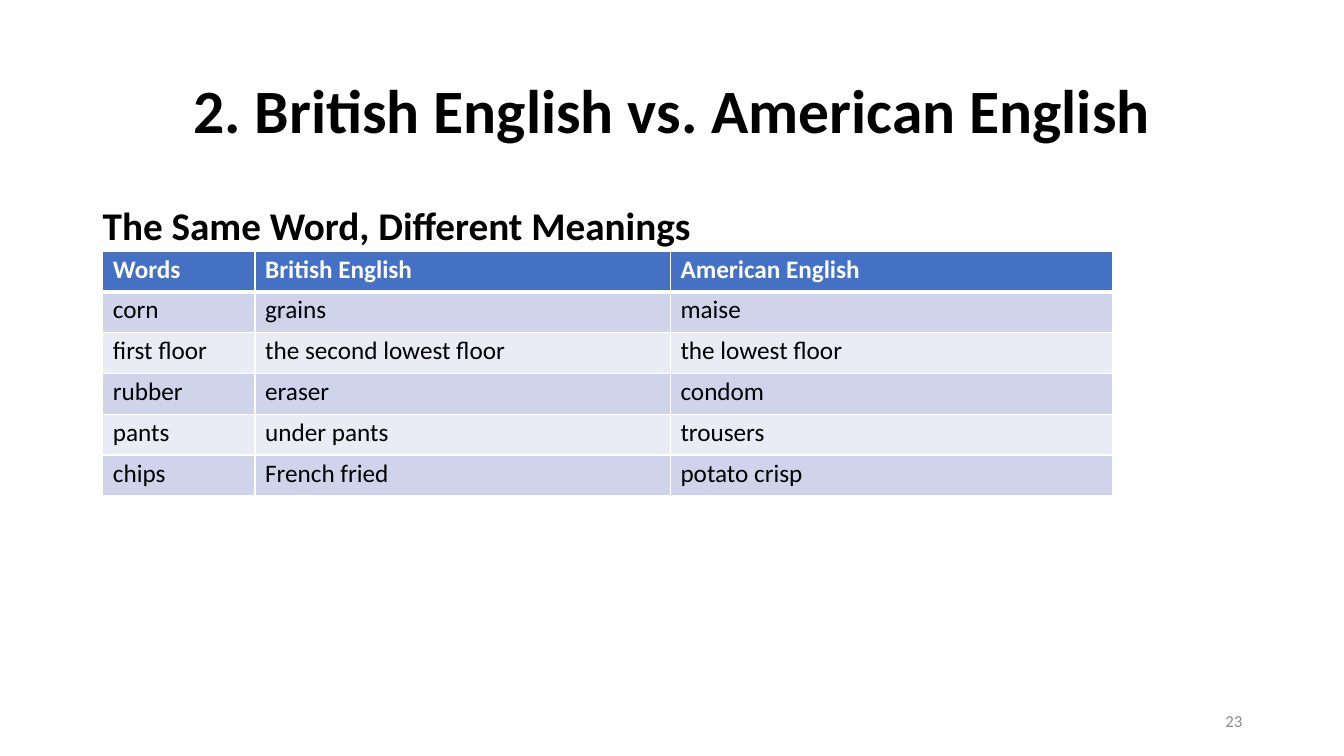
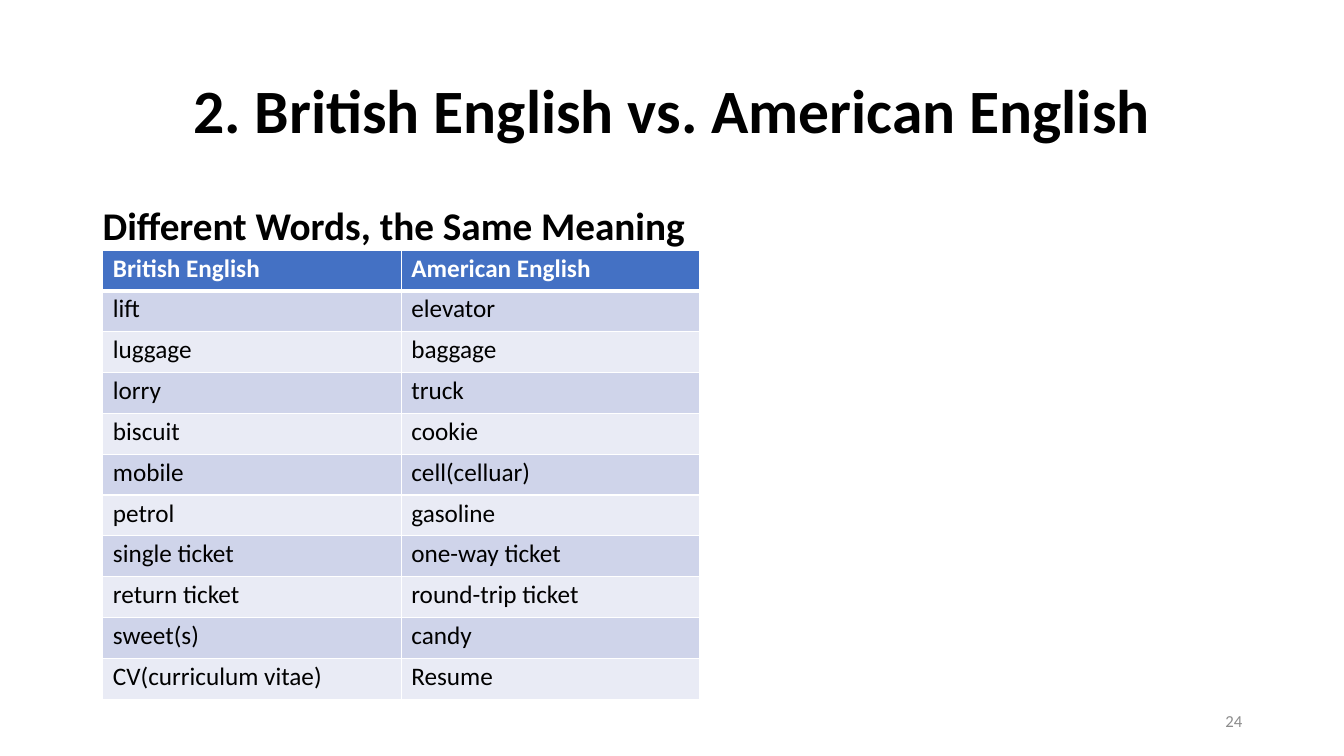
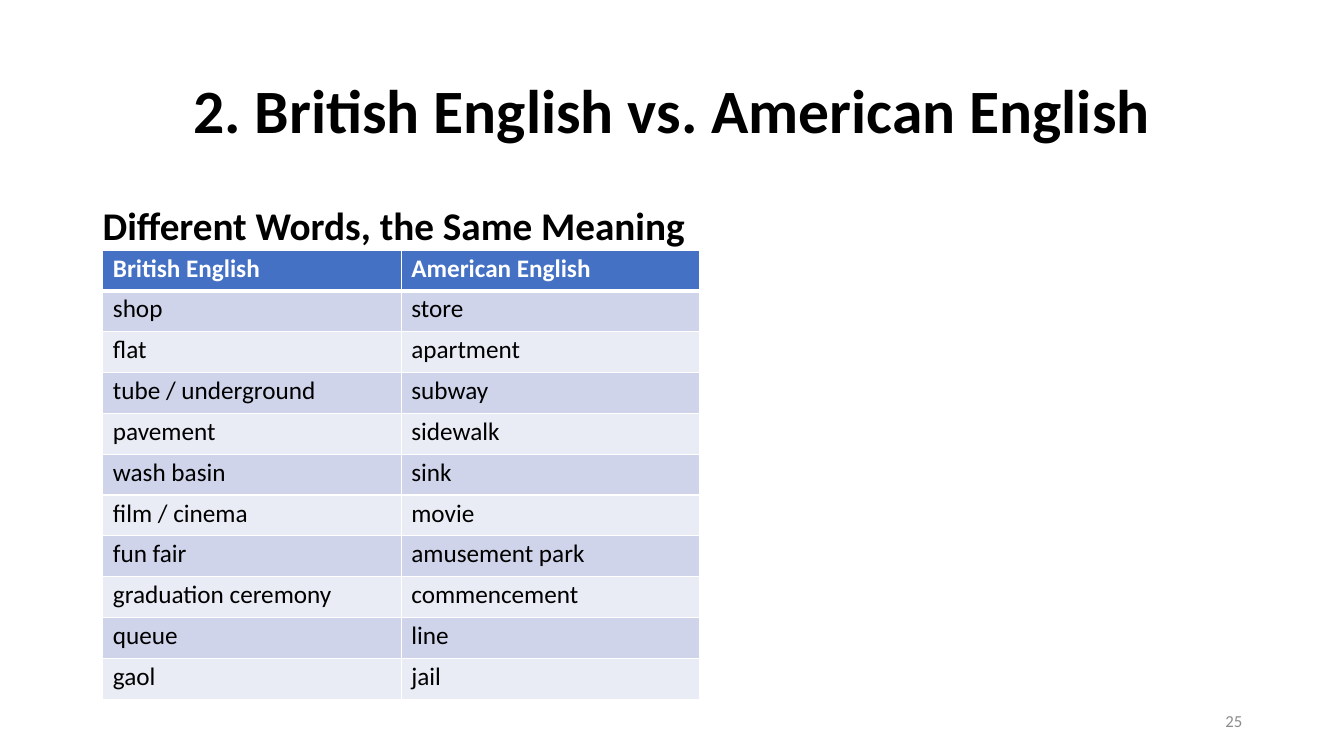
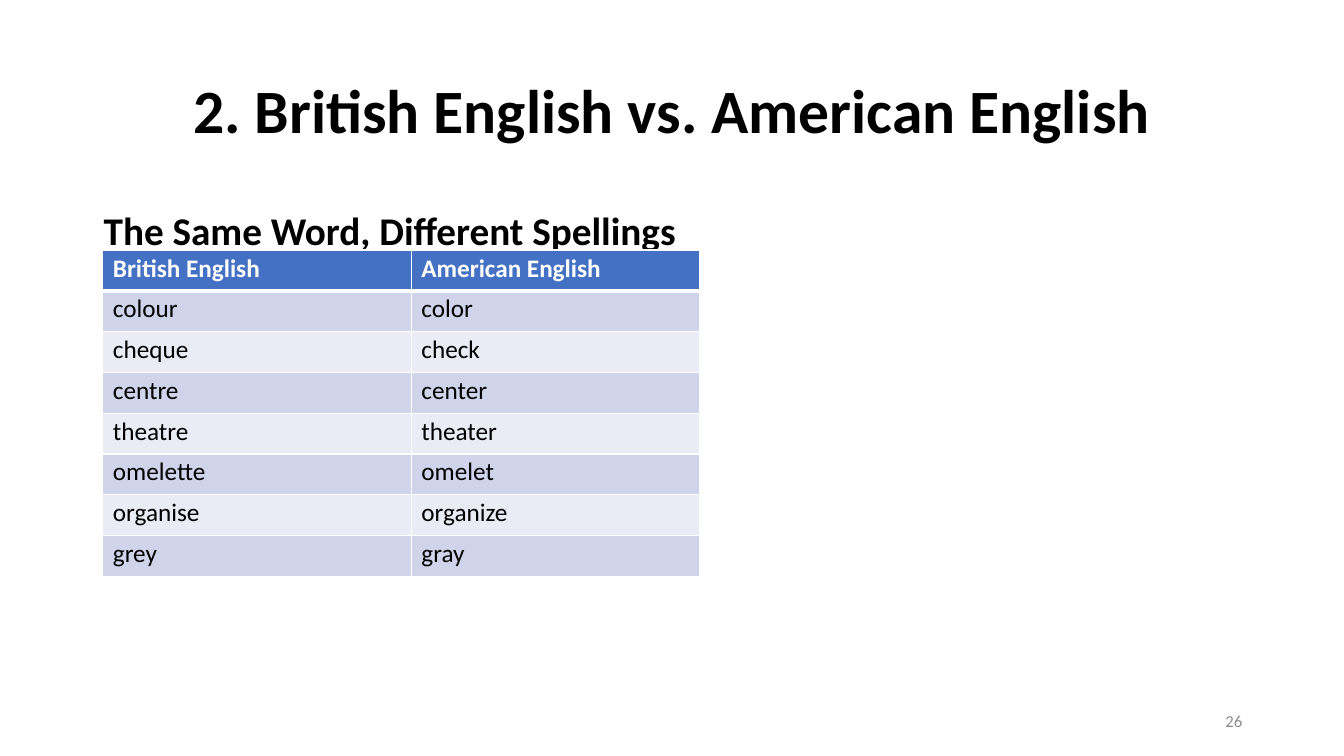
import pptx
import pptx.dml.color
import pptx.enum.text
import pptx.oxml.ns
import pptx.util
from lxml import etree

Inches = pptx.util.Inches
Pt = pptx.util.Pt
RGBColor = pptx.dml.color.RGBColor
PP_ALIGN = pptx.enum.text.PP_ALIGN
MSO_ANCHOR = pptx.enum.text.MSO_ANCHOR
qn = pptx.oxml.ns.qn

# Shared look
FONT = "Calibri"
BLACK = RGBColor(0x00, 0x00, 0x00)
WHITE = RGBColor(0xFF, 0xFF, 0xFF)
GREY = RGBColor(0x8C, 0x8C, 0x8C)
HEADER_BLUE = RGBColor(0x44, 0x71, 0xC4)
BAND_DARK = RGBColor(0xCF, 0xD4, 0xEA)
BAND_LIGHT = RGBColor(0xE9, 0xEB, 0xF5)
TITLE = "2. British English vs. American English"
FIRST_NUMBER = 23


def write(tf, text, size=18, color=BLACK, bold=False, align=PP_ALIGN.LEFT,
          anchor=MSO_ANCHOR.TOP, spacing=1.0):
    tf.word_wrap = True
    tf.vertical_anchor = anchor
    p = tf.paragraphs[0]
    p.alignment = align
    p.line_spacing = spacing
    r = p.add_run()
    r.text = text
    r.font.name = FONT
    r.font.size = Pt(size)
    r.font.bold = bold
    r.font.color.rgb = color


def add_border(cell, side, width):
    ln = etree.SubElement(cell._tc.get_or_add_tcPr(), qn("a:" + side), w=str(Pt(width)))
    fill = etree.SubElement(ln, qn("a:solidFill"))
    etree.SubElement(fill, qn("a:srgbClr"), val=str(WHITE))


# Slide content
PAIR = ("British English", "American English")
slides = [
    {"heading": "The Same Word, Different Meanings",
     "top": 2.49, "height": 2.43, "cols": (1.51, 4.12, 4.39),
     "rows": [("Words", *PAIR),
              ("corn", "grains", "maise"),
              ("first floor", "the second lowest floor", "the lowest floor"),
              ("rubber", "eraser", "condom"),
              ("pants", "under pants", "trousers"),
              ("chips", "French fried", "potato crisp")]},
    {"heading": "Different Words, the Same Meaning",
     "top": 2.48, "height": 4.46, "cols": (2.96, 2.96),
     "rows": [PAIR,
              ("lift", "elevator"),
              ("luggage", "baggage"),
              ("lorry", "truck"),
              ("biscuit", "cookie"),
              ("mobile", "cell(celluar)"),
              ("petrol", "gasoline"),
              ("single ticket", "one-way ticket"),
              ("return ticket", "round-trip ticket"),
              ("sweet(s)", "candy"),
              ("CV(curriculum vitae)", "Resume")]},
    {"heading": "Different Words, the Same Meaning",
     "top": 2.48, "height": 4.46, "cols": (2.96, 2.96),
     "rows": [PAIR,
              ("shop", "store"),
              ("flat", "apartment"),
              ("tube / underground", "subway"),
              ("pavement", "sidewalk"),
              ("wash basin", "sink"),
              ("film / cinema", "movie"),
              ("fun fair", "amusement park"),
              ("graduation ceremony", "commencement"),
              ("queue", "line"),
              ("gaol", "jail")]},
    {"heading": "The Same Word, Different Spellings", "left": 0.93, "spacing": 1.0,
     "top": 2.48, "height": 3.24, "cols": (3.06, 2.86),
     "rows": [PAIR,
              ("colour", "color"),
              ("cheque", "check"),
              ("centre", "center"),
              ("theatre", "theater"),
              ("omelette", "omelet"),
              ("organise", "organize"),
              ("grey", "gray")]},
]

prs = pptx.Presentation()
prs.slide_width = Inches(13.33)
prs.slide_height = Inches(7.5)

for number, data in enumerate(slides, FIRST_NUMBER):
    s = prs.slides.add_slide(prs.slide_layouts[6])

    # Title, slide number and heading
    sp = s.shapes.add_textbox(Inches(0.92), Inches(0.4), Inches(11.5), Inches(1.45))
    write(sp.text_frame, TITLE, size=44, bold=True, align=PP_ALIGN.CENTER,
          anchor=MSO_ANCHOR.MIDDLE, spacing=0.9)
    sp = s.shapes.add_textbox(Inches(9.42), Inches(6.95), Inches(3), Inches(0.4))
    write(sp.text_frame, str(number), size=12, color=GREY, align=PP_ALIGN.RIGHT,
          anchor=MSO_ANCHOR.MIDDLE)
    sp = s.shapes.add_textbox(Inches(data.get("left", 0.92)), Inches(2),
                              Inches(11.5), Inches(4.76))
    write(sp.text_frame, data["heading"], size=28, bold=True,
          spacing=data.get("spacing", 0.9))

    # Word table
    rows, cols = data["rows"], data["cols"]
    table = s.shapes.add_table(len(rows), len(cols), Inches(1.02), Inches(data["top"]),
                               Inches(sum(cols)), Inches(data["height"])).table
    table.first_row = False
    table.horz_banding = False
    for column, width in zip(table.columns, cols):
        column.width = Inches(width)
    for i, row in enumerate(rows):
        header = i == 0
        band = HEADER_BLUE if header else BAND_DARK if i % 2 else BAND_LIGHT
        for j, text in enumerate(row):
            cell = table.cell(i, j)
            cell.margin_left = Inches(0.1)
            cell.margin_top = Inches(0.03)
            cell.margin_right = cell.margin_bottom = 0
            # The rule under the header row is thicker
            for side, width in (("lnL", 1), ("lnR", 1), ("lnT", 3 if i == 1 else 1),
                                ("lnB", 3 if header else 1)):
                add_border(cell, side, width)
            cell.fill.solid()
            cell.fill.fore_color.rgb = band
            write(cell.text_frame, text, color=WHITE if header else BLACK, bold=header)

prs.save("out.pptx")
